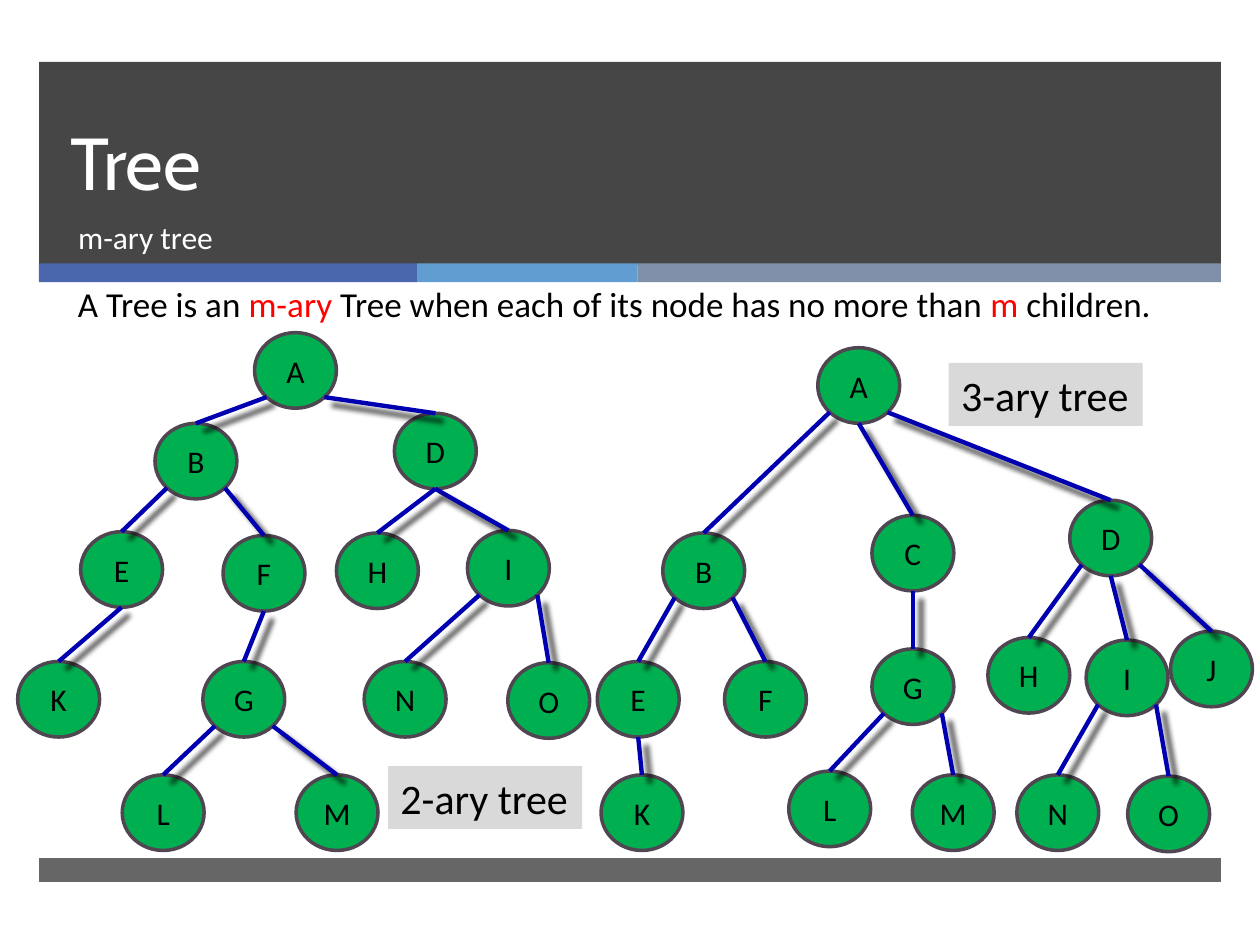
"""Build a slide that compares a 2-ary tree with a 3-ary tree."""
import math

import pptx
import pptx.dml.color
import pptx.enum.shapes
import pptx.enum.text
import pptx.oxml
import pptx.oxml.ns
import pptx.util
from pptx.util import Inches

NODE_WIDTH, NODE_HEIGHT = 0.65, 0.6
LEFT, MIDDLE, RIGHT = -1, 0, 1

BINARY_TREE = {
    "A": (2.02, 2.64, None, None),
    "B": (1.23, 3.36, "A", LEFT),
    "D": (3.13, 3.28, "A", RIGHT),
    "E": (0.64, 4.22, "B", LEFT),
    "F": (1.77, 4.25, "B", RIGHT),
    "I": (3.71, 4.21, "D", MIDDLE),
    "H": (2.67, 4.23, "D", MIDDLE),
    "G": (1.61, 5.25, "F", MIDDLE),
    "K": (0.14, 5.25, "E", MIDDLE),
    "M": (2.35, 6.15, "G", RIGHT),
    "L": (0.97, 6.15, "G", LEFT),
    "O": (4.03, 5.26, "I", RIGHT),
    "N": (2.89, 5.25, "I", LEFT),
}
TERNARY_TREE = {
    "A": (6.49, 2.76, None, None),
    "B": (5.26, 4.23, "A", LEFT),
    "C": (6.92, 4.09, "A", MIDDLE),
    "D": (8.49, 3.97, "A", RIGHT),
    "E": (4.74, 5.25, "B", LEFT),
    "F": (5.75, 5.25, "B", RIGHT),
    "J": (9.29, 5.01, "D", RIGHT),
    "I": (8.62, 5.08, "D", MIDDLE),
    "H": (7.84, 5.06, "D", LEFT),
    "G": (6.92, 5.15, "C", MIDDLE),
    "K": (4.77, 6.15, "E", MIDDLE),
    "M": (7.24, 6.15, "G", RIGHT),
    "L": (6.26, 6.12, "G", LEFT),
    "O": (8.95, 6.16, "I", RIGHT),
    "N": (8.07, 6.15, "I", LEFT),
}
EDGE_SHADOW = (
    f'<a:effectLst {pptx.oxml.ns.nsdecls("a")}>'
    '<a:outerShdw blurRad="38100" dist="80000" dir="2700000" algn="tl" rotWithShape="0">'
    '<a:srgbClr val="000000"><a:alpha val="75000"/></a:srgbClr>'
    "</a:outerShdw></a:effectLst>"
)


def color(value):
    return pptx.dml.color.RGBColor.from_string(value)


class TreeSlide:
    """Hold the style and the current slide."""

    body_font = "Calibri"
    title_font = "Cabin"
    ink = "000000"
    accent = "FF0000"
    light = "FFFFFF"

    def __init__(self, presentation):
        self.slide = presentation.slides.add_slide(presentation.slide_layouts[0])
        self.shapes = self.slide.shapes

    def add_runs(self, paragraph, runs, size, font=body_font):
        for text, ink in runs:
            run = paragraph.add_run()
            run.text = text
            run.font.name = font
            run.font.size = pptx.util.Pt(size)
            run.font.color.rgb = color(ink)

    def band(self, left, top, width, height, fill, opacity=100):
        band = self.shapes.add_shape(
            pptx.enum.shapes.MSO_SHAPE.RECTANGLE,
            Inches(left), Inches(top), Inches(width), Inches(height))
        band.shadow.inherit = False
        band.fill.solid()
        band.fill.fore_color.rgb = color(fill)
        band.line.fill.background()
        if opacity < 100:
            tint = band.element.spPr.find(".//" + pptx.oxml.ns.qn("a:srgbClr"))
            tint.append(pptx.oxml.parse_xml(
                f'<a:alpha {pptx.oxml.ns.nsdecls("a")} val="{opacity * 1000}"/>'))

    def heading(self, index, place, text, size, font, anchor, spacing=None):
        heading = self.slide.placeholders[index]
        heading.left, heading.top, heading.width, heading.height = map(Inches, place)
        heading.element.getparent().append(heading.element)
        frame = heading.text_frame
        frame.word_wrap = True
        frame.auto_size = pptx.enum.text.MSO_AUTO_SIZE.NONE
        frame.vertical_anchor = anchor
        paragraph = frame.paragraphs[0]
        paragraph.alignment = pptx.enum.text.PP_ALIGN.LEFT
        paragraph.space_before = pptx.util.Pt(0)
        if spacing:
            paragraph.line_spacing = pptx.util.Pt(spacing)
        self.add_runs(paragraph, [(text, self.light)], size, font)

    def text(self, left, top, width, height, runs, size, fill=None):
        box = self.shapes.add_textbox(
            Inches(left), Inches(top), Inches(width), Inches(height))
        if fill:
            box.fill.solid()
            box.fill.fore_color.rgb = color(fill)
        box.text_frame.word_wrap = True
        box.text_frame.auto_size = pptx.enum.text.MSO_AUTO_SIZE.SHAPE_TO_FIT_TEXT
        self.add_runs(box.text_frame.paragraphs[0], runs, size)

    def caption(self, left, top, text):
        self.text(left, top, 1.54, 0.5, [(text, self.ink)], 24, "D9D9D9")

    def node(self, left, top, label):
        node = self.shapes.add_shape(
            pptx.enum.shapes.MSO_SHAPE.OVAL,
            Inches(left), Inches(top), Inches(NODE_WIDTH), Inches(NODE_HEIGHT))
        node.shadow.inherit = False
        node.fill.solid()
        node.fill.fore_color.rgb = color("00B050")
        node.line.color.rgb = color("504652")
        node.line.width = pptx.util.Pt(2)
        node.text_frame.vertical_anchor = pptx.enum.text.MSO_ANCHOR.MIDDLE
        paragraph = node.text_frame.paragraphs[0]
        paragraph.alignment = pptx.enum.text.PP_ALIGN.CENTER
        self.add_runs(paragraph, [(label, self.ink)], 18)

    def edge(self, parent, child, side):
        angle = math.radians(90 - 45 * side)
        start_x = parent[0] + NODE_WIDTH / 2 * (1 + math.cos(angle))
        start_y = parent[1] + NODE_HEIGHT / 2 * (1 + math.sin(angle))
        edge = self.shapes.add_connector(
            pptx.enum.shapes.MSO_CONNECTOR.STRAIGHT,
            Inches(start_x), Inches(start_y),
            Inches(child[0] + NODE_WIDTH / 2), Inches(child[1]))
        edge.line.color.rgb = color("0000B0")
        edge.line.width = pptx.util.Pt(2.5)
        edge.element.spPr.append(pptx.oxml.parse_xml(EDGE_SHADOW))

    def tree(self, nodes):
        for label, (left, top, _, _) in nodes.items():
            self.node(left, top, label)
        for left, top, parent, side in nodes.values():
            if parent:
                self.edge(nodes[parent], (left, top), side)


def main():
    presentation = pptx.Presentation()
    presentation.slide_width = Inches(10)
    presentation.slide_height = Inches(7.5)
    page = TreeSlide(presentation)

    page.band(0.31, 0.49, 9.38, 1.61, "262626", 85)
    stripe_left = 0.31
    for width, fill in ((3, "4A66AC"), (1.75, "629DD1"), (4.63, "7F8FA9")):
        page.band(stripe_left, 2.09, width, 0.15, fill)
        stripe_left += width
    page.band(0.31, 6.81, 9.38, 0.19, "262626", 70)

    anchors = pptx.enum.text.MSO_ANCHOR
    page.heading(0, (0.46, 0.49, 8.54, 1.19), "Tree", 42, page.title_font, anchors.BOTTOM, 46)
    page.heading(1, (0.52, 1.68, 8.48, 0.53), "m-ary tree", 18, page.body_font, anchors.TOP)
    page.text(0.52, 2.19, 8.98, 0.44, [
        ("A Tree is an ", page.ink),
        ("m-ary", page.accent),
        (" Tree when each of its node has no more than ", page.ink),
        ("m", page.accent),
        (" children.", page.ink),
    ], 20)

    page.tree(TERNARY_TREE)
    page.tree(BINARY_TREE)
    page.caption(3.08, 6.08, "2-ary tree")
    page.caption(7.53, 2.88, "3-ary tree")
    presentation.save("out.pptx")


if __name__ == "__main__":
    main()
